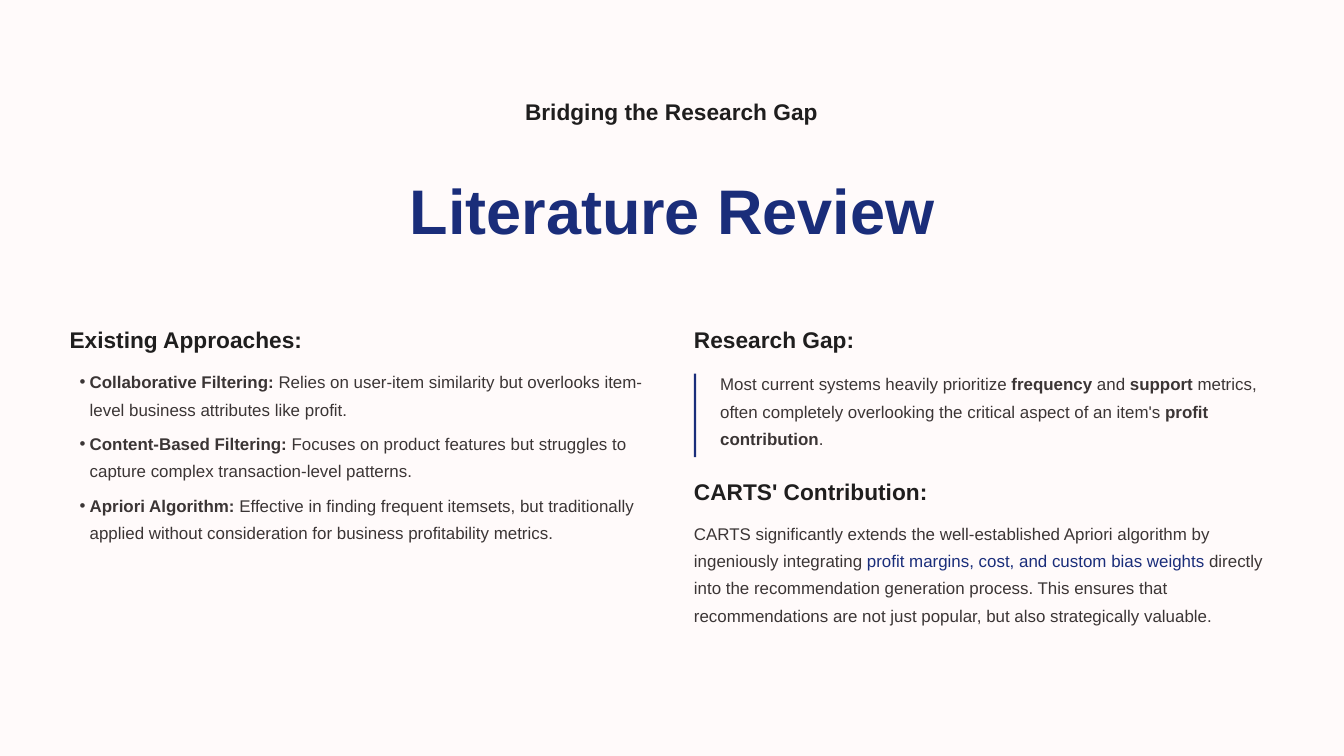
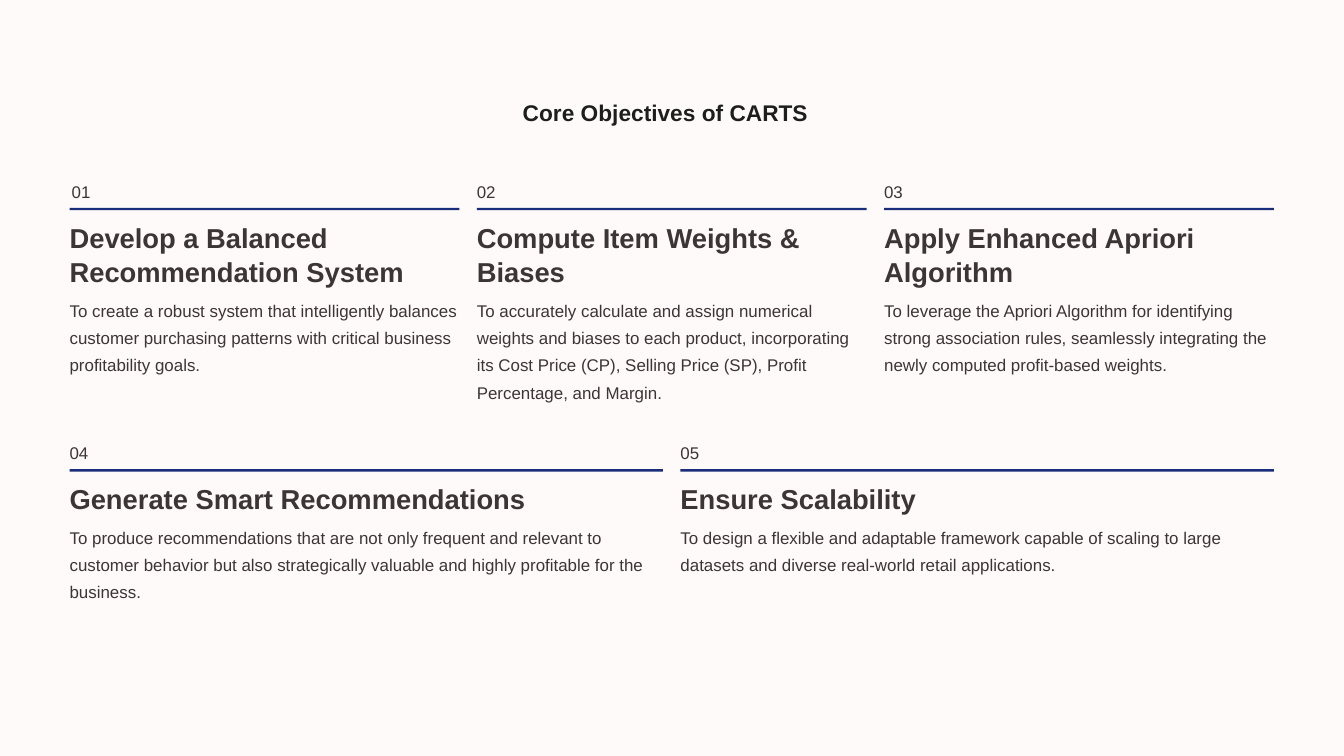
"""Build the literature review and core objectives slides."""
from lxml import etree
from pptx import Presentation
from pptx.dml.color import RGBColor
from pptx.enum.shapes import MSO_SHAPE
from pptx.enum.text import MSO_AUTO_SIZE, PP_ALIGN
from pptx.oxml.ns import qn
from pptx.util import Cm, Pt

RECT = MSO_SHAPE.RECTANGLE
GROW = MSO_AUTO_SIZE.SHAPE_TO_FIT_TEXT
LEFT, CENTER = PP_ALIGN.LEFT, PP_ALIGN.CENTER

FONT = "Arial"
PAPER, INK, GREY, NAVY = "FFFAFA", "1F1E1E", "3B3535", "1A2D7A"
TITLE = (67.5, 84.4, NAVY, True)
HEADING = (24.37, 30.6, INK, True)
CARD = (29.37, 36.2, GREY, True)
BODY = (18.1, 29.4, GREY, False)
SLIDE_W, SLIDE_H = 50.8, 28.58
MARGIN, WIDTH, GAP = 2.63, 45.52, 0.66


def add_text(s, x, y, w, h, runs, style, align=LEFT, bullet=False):
    size, spacing, color, bold = style
    tf = s.shapes.add_textbox(Cm(x), Cm(y), Cm(w), Cm(h)).text_frame
    tf.margin_left = tf.margin_top = tf.margin_right = tf.margin_bottom = 0
    tf.word_wrap = True
    tf.auto_size = GROW
    p = tf.paragraphs[0]
    p.alignment = align
    p.line_spacing = Pt(spacing)
    if bullet:
        p.level = 1
        pPr = p._p.get_or_add_pPr()
        pPr.set("marL", str(Cm(0.76)))
        pPr.set("indent", str(-Cm(0.38)))
        etree.SubElement(pPr, qn("a:buFont")).set("typeface", FONT)
        etree.SubElement(pPr, qn("a:buChar")).set("char", "•")
    for text, *changes in runs:
        r = p.add_run()
        r.text = text
        r.font.name = FONT
        r.font.size = Pt(size)
        r.font.bold = bold or "bold" in changes
        r.font.color.rgb = RGBColor.from_string(NAVY if "navy" in changes else color)


def add_rect(s, x, y, w, h, color=NAVY):
    sp = s.shapes.add_shape(RECT, Cm(x), Cm(y), Cm(w), Cm(h))
    sp.shadow.inherit = False
    sp.fill.solid()
    sp.fill.fore_color.rgb = RGBColor.from_string(color)
    sp.line.fill.background()


prs = Presentation()
prs.slide_width, prs.slide_height = Cm(SLIDE_W), Cm(SLIDE_H)
slides = []
for _ in range(2):
    s = prs.slides.add_slide(prs.slide_layouts[6])
    add_rect(s, 0, 0, SLIDE_W, SLIDE_H, PAPER)
    slides.append(s)
review, objectives = slides

add_text(review, 19.58, 3.63, 11.61, 2.08, [("Bridging the Research Gap",)], HEADING, CENTER)
add_text(review, MARGIN, 6.38, 45.54, 2.95, [("Literature Review",)], TITLE, CENTER)

right, column = 26.23, 21.97
for x, y, w, heading in [
    (MARGIN, 12.28, 12.65, "Existing Approaches:"),
    (right, 12.28, 8.66, "Research Gap:"),
    (right, 18.01, 10.97, "CARTS' Contribution:"),
]:
    add_text(review, x, y, w, 1.08, [(heading,)], HEADING)

approaches = [
    ("Collaborative Filtering:",
     " Relies on user-item similarity but overlooks item-level business attributes like profit."),
    ("Content-Based Filtering:",
     " Focuses on product features but struggles to capture complex transaction-level patterns."),
    ("Apriori Algorithm:",
     " Effective in finding frequent itemsets, but traditionally applied without consideration "
     "for business profitability metrics."),
]
for i, (name, detail) in enumerate(approaches):
    add_text(review, MARGIN, 13.79 + 2.33 * i, column, 2.36,
             [(name, "bold"), (detail,)], BODY, bullet=True)

add_text(review, 27.22, 13.87, 20.98, 3.43, [
    ("Most current systems heavily prioritize ",),
    ("frequency", "bold"),
    (" and ",),
    ("support", "bold"),
    (" metrics, often completely overlooking the critical aspect of an item's ",),
    ("profit contribution", "bold"),
    (".",),
], BODY)
add_rect(review, right, 14.13, 0.08, 3.15)
add_text(review, right, 19.51, column, 5.54, [
    ("CARTS significantly extends the well-established Apriori algorithm by ingeniously integrating ",),
    ("profit margins, cost, and custom bias weights", "navy"),
    (" directly into the recommendation generation process. This ensures that recommendations "
     "are not just popular, but also strategically valuable.",),
], BODY)

add_text(objectives, 18.69, 3.68, 12.93, 1.04, [("Core Objectives of CARTS",)], HEADING, CENTER)

rows = [
    (6.6, 2.62, 0.08, [
        ("Develop a Balanced Recommendation System",
         "To create a robust system that intelligently balances customer purchasing patterns "
         "with critical business profitability goals."),
        ("Compute Item Weights & Biases",
         "To accurately calculate and assign numerical weights and biases to each product, "
         "incorporating its Cost Price (CP), Selling Price (SP), Profit Percentage, and Margin."),
        ("Apply Enhanced Apriori Algorithm",
         "To leverage the Apriori Algorithm for identifying strong association rules, "
         "seamlessly integrating the newly computed profit-based weights."),
    ]),
    (16.48, 1.32, 0, [
        ("Generate Smart Recommendations",
         "To produce recommendations that are not only frequent and relevant to customer behavior "
         "but also strategically valuable and highly profitable for the business."),
        ("Ensure Scalability",
         "To design a flexible and adaptable framework capable of scaling to large datasets "
         "and diverse real-world retail applications."),
    ]),
]
number = 0
for top, heading_h, first_inset, cards in rows:
    card_w = (WIDTH - GAP * (len(cards) - 1)) / len(cards)
    for i, (heading, detail) in enumerate(cards):
        number += 1
        x = MARGIN + i * (card_w + GAP)
        number_x = x if i else x + first_inset
        add_text(objectives, number_x, top, 1.4, 0.97, [(f"{number:02d}",)], BODY)
        add_rect(objectives, x, top + 1.26, card_w, 0.09)
        add_text(objectives, x, top + 1.73, card_w, heading_h, [(heading,)], CARD)
        add_text(objectives, x, top + 1.86 + heading_h, card_w, 3.43, [(detail,)], BODY)

prs.save("out.pptx")
